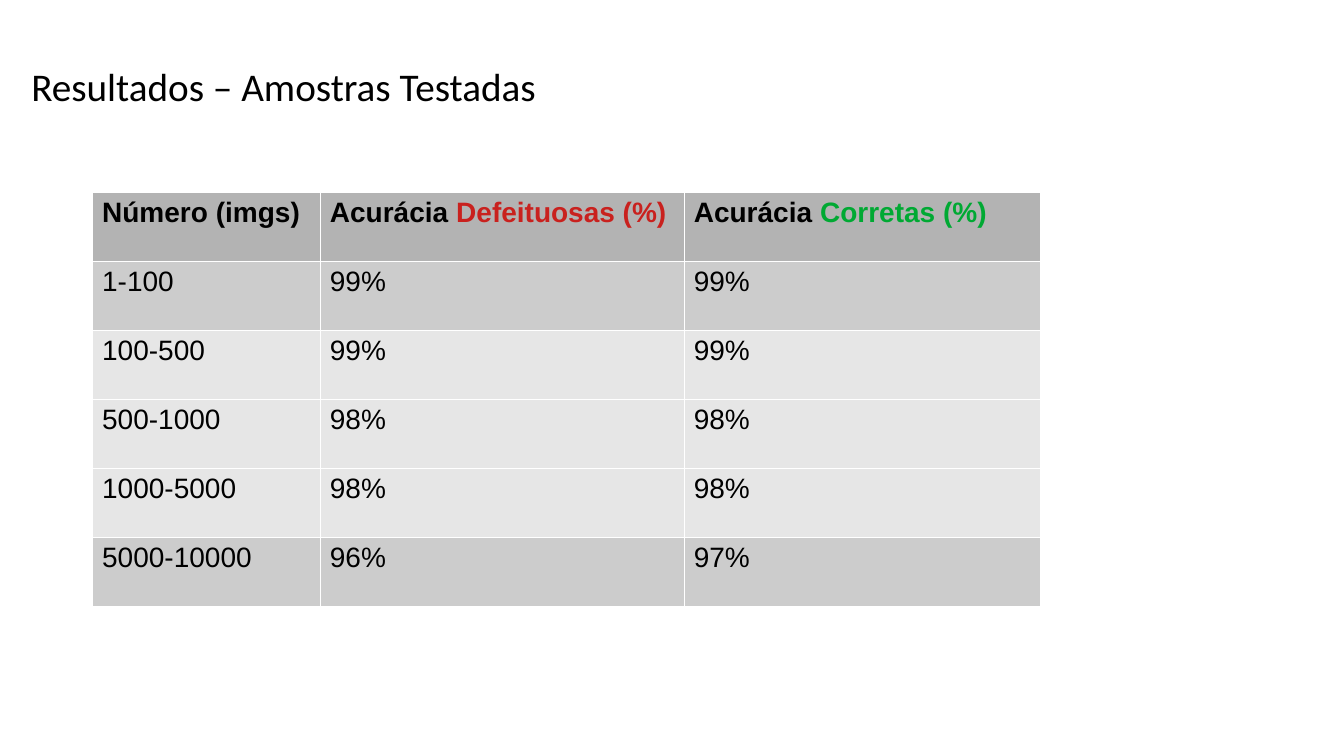
from dataclasses import dataclass

from lxml import etree
from pptx import Presentation, util as u
from pptx.dml.color import RGBColor
from pptx.enum import text
from pptx.oxml import ns
from pptx.slide import Slide
from pptx.table import _Cell

COLORS = {
    "text": "000000",
    "defective": "C9211E",
    "correct": "00A933",
    "header": "B3B3B3",
    "outer_row": "CCCCCC",
    "inner_row": "E6E6E6",
    "border": "FFFFFF",
}
COLUMN_WIDTHS = (5.74, 9.17, 8.97)
ROW_HEIGHT = 1.74
BORDER_WIDTH = u.Pt(0.06)


@dataclass(frozen=True)
class Heading:
    label: str
    highlight: str = ""
    highlight_color: str = "text"


@dataclass(frozen=True)
class Result:
    images: str
    defective: str
    correct: str


HEADINGS = (
    Heading("Número (imgs)"),
    Heading("Acurácia ", "Defeituosas (%)", "defective"),
    Heading("Acurácia ", "Corretas (%)", "correct"),
)
RESULTS = (
    Result("1-100", "99%", "99%"),
    Result("100-500", "99%", "99%"),
    Result("500-1000", "98%", "98%"),
    Result("1000-5000", "98%", "98%"),
    Result("5000-10000", "96%", "97%"),
)


def rgb(color: str) -> RGBColor:
    return RGBColor.from_string(COLORS[color])


def add_borders(cell: _Cell) -> None:
    properties = cell._tc.get_or_add_tcPr()
    for position, side in enumerate(("lnL", "lnR", "lnT", "lnB")):
        line = etree.Element(ns.qn(f"a:{side}"), w=str(BORDER_WIDTH))
        fill = etree.SubElement(line, ns.qn("a:solidFill"))
        etree.SubElement(fill, ns.qn("a:srgbClr"), val=COLORS["border"])
        properties.insert(position, line)  # borders must precede the fill


def format_cell(cell: _Cell, fill: str, bold: bool = False) -> None:
    cell.fill.solid()
    cell.fill.fore_color.rgb = rgb(fill)
    add_borders(cell)
    font = cell.text_frame.paragraphs[0].font
    font.name, font.size, font.bold = "Arial", u.Pt(20), bold
    font.color.rgb = rgb("text")


def write_heading(cell: _Cell, heading: Heading) -> None:
    paragraph = cell.text_frame.paragraphs[0]
    paragraph.add_run().text = heading.label
    if heading.highlight:
        highlight = paragraph.add_run()
        highlight.text = heading.highlight
        highlight.font.color.rgb = rgb(heading.highlight_color)
    format_cell(cell, "header", bold=True)


def add_title(slide: Slide) -> None:
    title = slide.shapes.title
    title.left, title.top = u.Cm(0.79), u.Cm(0.33)
    title.width, title.height = u.Cm(29.21), u.Cm(3.68)
    frame = title.text_frame
    frame.text = "Resultados – Amostras Testadas"
    frame.margin_left = frame.margin_right = 0
    frame.margin_top = frame.margin_bottom = 0
    frame.vertical_anchor = text.MSO_ANCHOR.MIDDLE
    paragraph = frame.paragraphs[0]
    paragraph.alignment = text.PP_ALIGN.LEFT
    paragraph.font.name, paragraph.font.size = "Calibri", u.Pt(28)
    paragraph.font.color.rgb = rgb("text")


def add_results(slide: Slide) -> None:
    row_count = len(RESULTS) + 1
    table = slide.shapes.add_table(
        row_count, len(HEADINGS), u.Cm(2.32), u.Cm(4.83),
        u.Cm(sum(COLUMN_WIDTHS)), u.Cm(ROW_HEIGHT * row_count),
    ).table
    for column, width in zip(table.columns, COLUMN_WIDTHS):
        column.width = u.Cm(width)
    for column, heading in enumerate(HEADINGS):
        write_heading(table.cell(0, column), heading)
    for row, result in enumerate(RESULTS, start=1):
        fill = "outer_row" if row in (1, len(RESULTS)) else "inner_row"
        values = (result.images, result.defective, result.correct)
        for column, value in enumerate(values):
            cell = table.cell(row, column)
            cell.text = value
            format_cell(cell, fill)


def main() -> None:
    presentation = Presentation()
    presentation.slide_width, presentation.slide_height = u.Cm(33.87), u.Cm(19.05)
    slide = presentation.slides.add_slide(presentation.slide_layouts.get_by_name("Title Only"))
    add_title(slide)
    add_results(slide)
    presentation.save("out.pptx")


if __name__ == "__main__":
    main()
